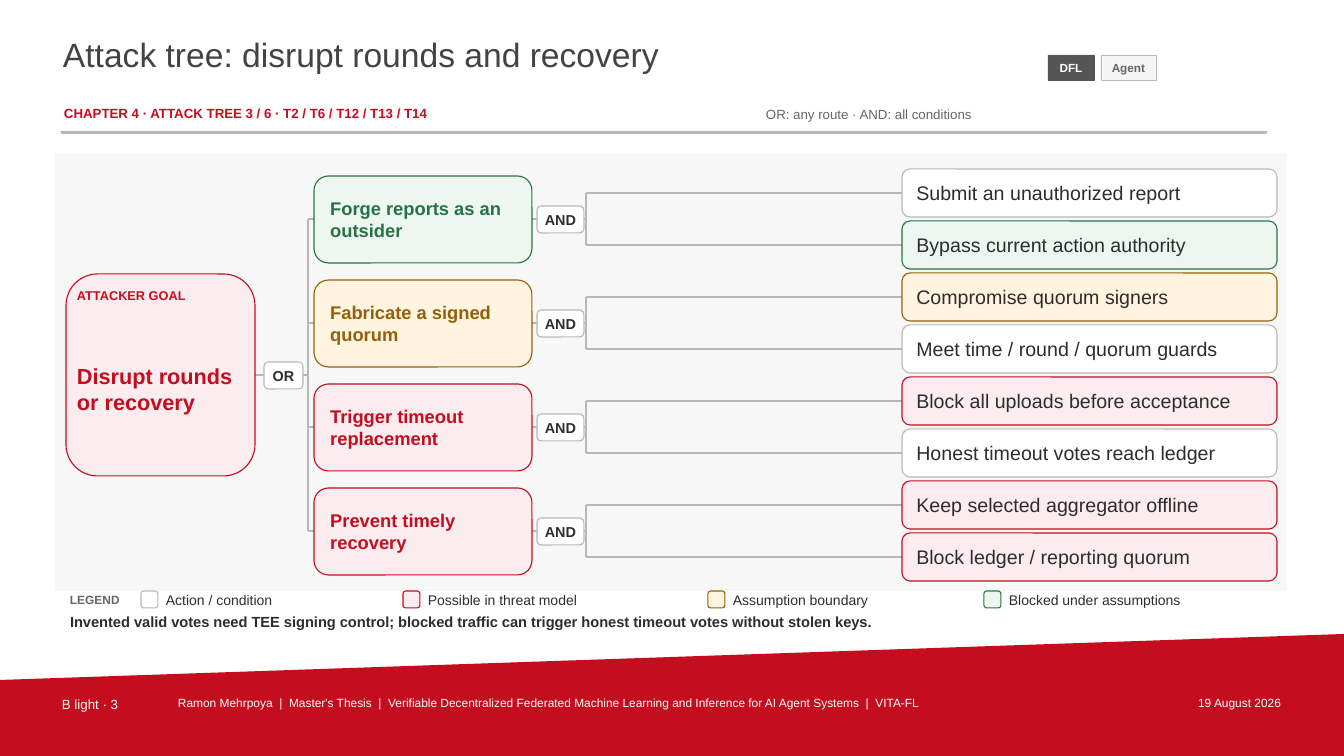
from lxml import etree
from pptx import Presentation
from pptx.dml.color import RGBColor
from pptx.enum.shapes import MSO_CONNECTOR, MSO_SHAPE
from pptx.enum.text import MSO_ANCHOR, MSO_AUTO_SIZE, PP_ALIGN
from pptx.oxml.ns import qn
from pptx.util import Pt

PX = 914400 / 100.8
RED = RGBColor(0xC4, 0x0D, 0x1E)
PINK = RGBColor(0xFB, 0xEC, 0xEF)
GREEN = RGBColor(0x26, 0x73, 0x47)
MINT = RGBColor(0xED, 0xF7, 0xEF)
BROWN = RGBColor(0x94, 0x60, 0x0B)
CREAM = RGBColor(0xFF, 0xF4, 0xDF)
WHITE = RGBColor(0xFF, 0xFF, 0xFF)
PANEL = RGBColor(0xF7, 0xF7, 0xF7)
PALE = RGBColor(0xF5, 0xF5, 0xF5)
RULE = RGBColor(0xB8, 0xB8, 0xB8)
GREY = RGBColor(0x66, 0x66, 0x66)
DARK = RGBColor(0x55, 0x55, 0x55)
SLATE = RGBColor(0x43, 0x43, 0x43)
INK = RGBColor(0x2D, 0x2D, 0x2D)

ACTION = (WHITE, RULE)
POSSIBLE = (PINK, RED)
ASSUMED = (CREAM, BROWN)
BLOCKED = (MINT, GREEN)

prs = Presentation()
prs.slide_width = round(1344 * PX)
prs.slide_height = round(756 * PX)
s = prs.slides.add_slide(prs.slide_layouts[5])


def add_box(x, y, w, h, colors=None, kind=MSO_SHAPE.ROUNDED_RECTANGLE, width=0.8):
    area = [round(v * PX) for v in (x, y, w, h)]
    if colors is None:
        return s.shapes.add_textbox(*area)
    sp = s.shapes.add_shape(kind, *area)
    sp.shadow.inherit = False
    sp.fill.solid()
    sp.fill.fore_color.rgb, sp.line.color.rgb = colors
    sp.line.width = Pt(width)
    return sp


def put_text(sp, text, size, color=INK, bold=False, align=PP_ALIGN.LEFT,
             anchor=MSO_ANCHOR.MIDDLE, side=0, top=0):
    tf = sp.text_frame
    tf.word_wrap = True
    tf.auto_size = MSO_AUTO_SIZE.NONE
    tf.vertical_anchor = anchor
    tf.margin_left = tf.margin_right = round(side * PX)
    tf.margin_top = tf.margin_bottom = round(top * PX)
    p = tf.paragraphs[0]
    p.alignment = align
    r = p.add_run()
    r.text = text
    r.font.name = "Arial"
    r.font.size = Pt(size)
    r.font.bold = bold
    r.font.color.rgb = color


fb = s.shapes.build_freeform(0, 680, scale=PX)
fb.add_line_segments([(1344, 634), (1344, 756), (0, 756)])
band = fb.convert_to_shape()
band.shadow.inherit = False
band.fill.solid()
band.fill.fore_color.rgb = RED
band.line.fill.background()

title = s.shapes.title
title.left, title.top, title.width, title.height = [round(v * PX) for v in (61, 32, 973, 62)]
put_text(title, "Attack tree: disrupt rounds and recovery", 24, SLATE,
         anchor=MSO_ANCHOR.TOP, side=2, top=2)

framing = [
    (62, 103, 685, "CHAPTER 4 · ATTACK TREE 3 / 6 · T2 / T6 / T12 / T13 / T14", 9.5, RED, True, PP_ALIGN.LEFT),
    (60, 694, 111, "B light · 3", 9.5, WHITE, False, PP_ALIGN.LEFT),
    (176, 694, 942, "Ramon Mehrpoya  |  Master's Thesis  |  Verifiable Decentralized Federated "
     "Machine Learning and Inference for AI Agent Systems  |  VITA-FL", 8.5, WHITE, False, PP_ALIGN.LEFT),
    (1129, 694, 154, "19 August 2026", 8.5, WHITE, False, PP_ALIGN.RIGHT),
]
for x, y, w, text, size, color, bold, align in framing:
    put_text(add_box(x, y, w, 22), text, size, color, bold, align,
             anchor=MSO_ANCHOR.TOP, side=2, top=2)

add_box(61, 131, 1205, 2, (RULE, RULE), MSO_SHAPE.RECTANGLE, 0.5)
put_text(add_box(766, 103, 382, 22), "OR: any route · AND: all conditions", 9.5, GREY)

badges = [(1048, 46, "DFL", (DARK, DARK), WHITE), (1101, 55, "Agent", (PALE, RULE), GREY)]
for x, w, text, colors, color in badges:
    put_text(add_box(x, 55, w, 25, colors, MSO_SHAPE.RECTANGLE, 0.55),
             text, 8.4, color, True, PP_ALIGN.CENTER)

add_box(55, 153, 1230, 437, (PANEL, PANEL), MSO_SHAPE.RECTANGLE, 0.5)

branches = [
    ("Forge reports as an outsider", BLOCKED,
     [("Submit an unauthorized report", ACTION), ("Bypass current action authority", BLOCKED)]),
    ("Fabricate a signed quorum", ASSUMED,
     [("Compromise quorum signers", ASSUMED), ("Meet time / round / quorum guards", ACTION)]),
    ("Trigger timeout replacement", POSSIBLE,
     [("Block all uploads before acceptance", POSSIBLE), ("Honest timeout votes reach ledger", ACTION)]),
    ("Prevent timely recovery", POSSIBLE,
     [("Keep selected aggregator offline", POSSIBLE), ("Block ledger / reporting quorum", POSSIBLE)]),
]
centers = [219 + 104 * i for i in range(len(branches))]

lines = [(255, 375, 308, 375), (308, centers[0], 308, centers[-1])]
for cy in centers:
    lines += [(308, cy, 314, cy), (532, cy, 586, cy), (586, cy - 26, 586, cy + 26),
              (586, cy - 26, 902, cy - 26), (586, cy + 26, 902, cy + 26)]
for ends in lines:
    c = s.shapes.add_connector(MSO_CONNECTOR.STRAIGHT, *[round(v * PX) for v in ends])
    c.line.color.rgb = RULE
    c.line.width = Pt(1.25)
    etree.SubElement(c._element.spPr, qn("a:effectLst"))

gates = [(264, 375, 39, "OR")] + [(537, cy, 47, "AND") for cy in centers]
for x, cy, w, text in gates:
    put_text(add_box(x, cy - 13, w, 27, ACTION), text, 10.3, bold=True, align=PP_ALIGN.CENTER)

add_box(66, 274, 189, 202, POSSIBLE)
put_text(add_box(77, 285, 167, 20), "ATTACKER GOAL", 9.1, RED, True)
put_text(add_box(77, 312, 167, 153), "Disrupt rounds or recovery", 15.5, RED, True)

for cy, (route, colors, leaves) in zip(centers, branches):
    put_text(add_box(314, cy - 43, 218, 87, colors), route, 13.1, colors[1], True, side=12)
    for leaf_cy, (leaf, leaf_colors) in zip((cy - 26, cy + 26), leaves):
        put_text(add_box(902, leaf_cy - 24, 375, 48, leaf_colors), leaf, 14, side=12)

put_text(add_box(70, 589, 65, 22), "LEGEND", 8.5, GREY, True)
legend = [
    (141, "Action / condition", ACTION),
    (403, "Possible in threat model", POSSIBLE),
    (708, "Assumption boundary", ASSUMED),
    (984, "Blocked under assumptions", BLOCKED),
]
for x, text, colors in legend:
    add_box(x, 591, 17, 17, colors)
    put_text(add_box(x + 25, 589, 240, 22), text, 10)
put_text(add_box(70, 611, 1206, 21), "Invented valid votes need TEE signing control; blocked traffic "
         "can trigger honest timeout votes without stolen keys.", 10.5, bold=True)

prs.save("out.pptx")
